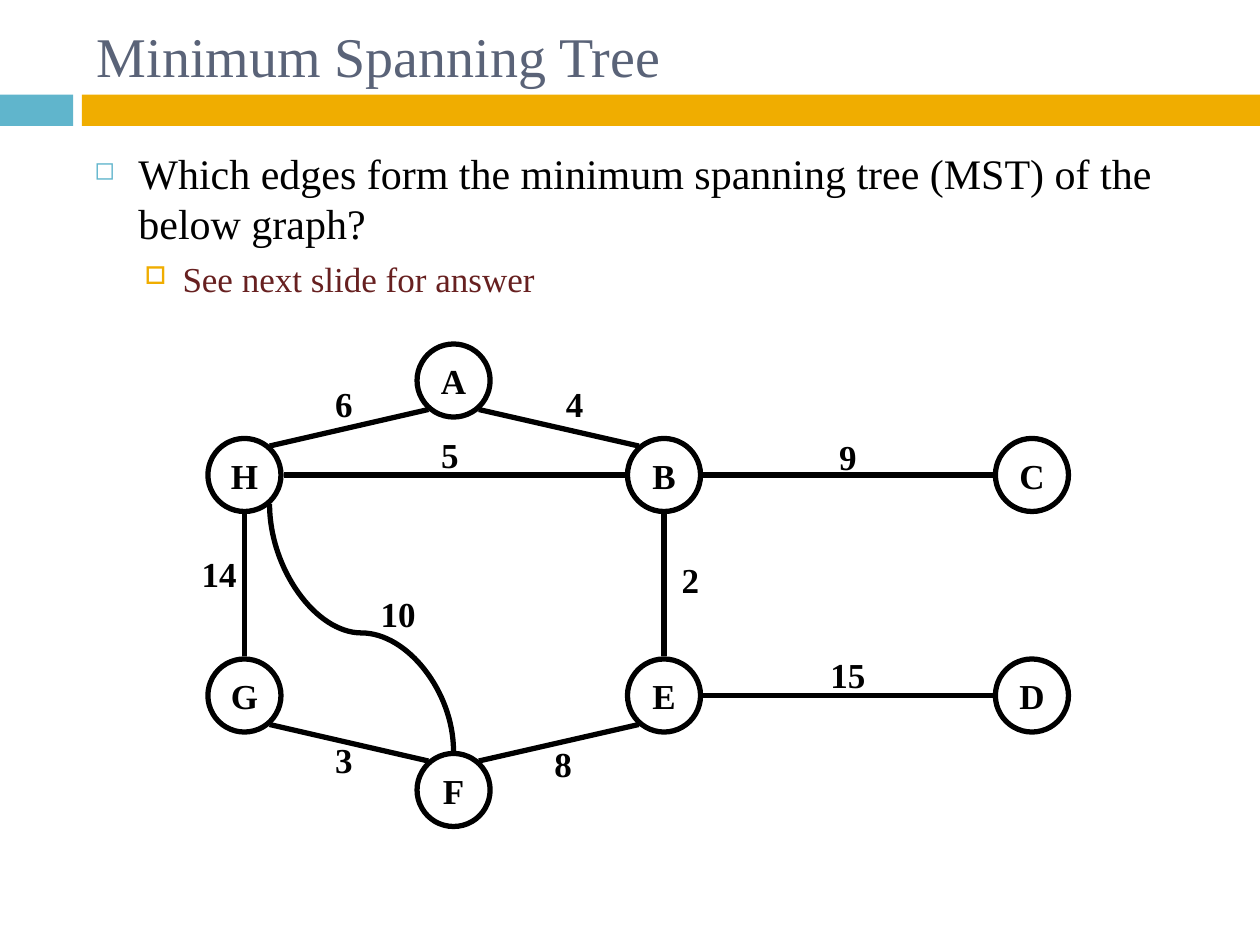
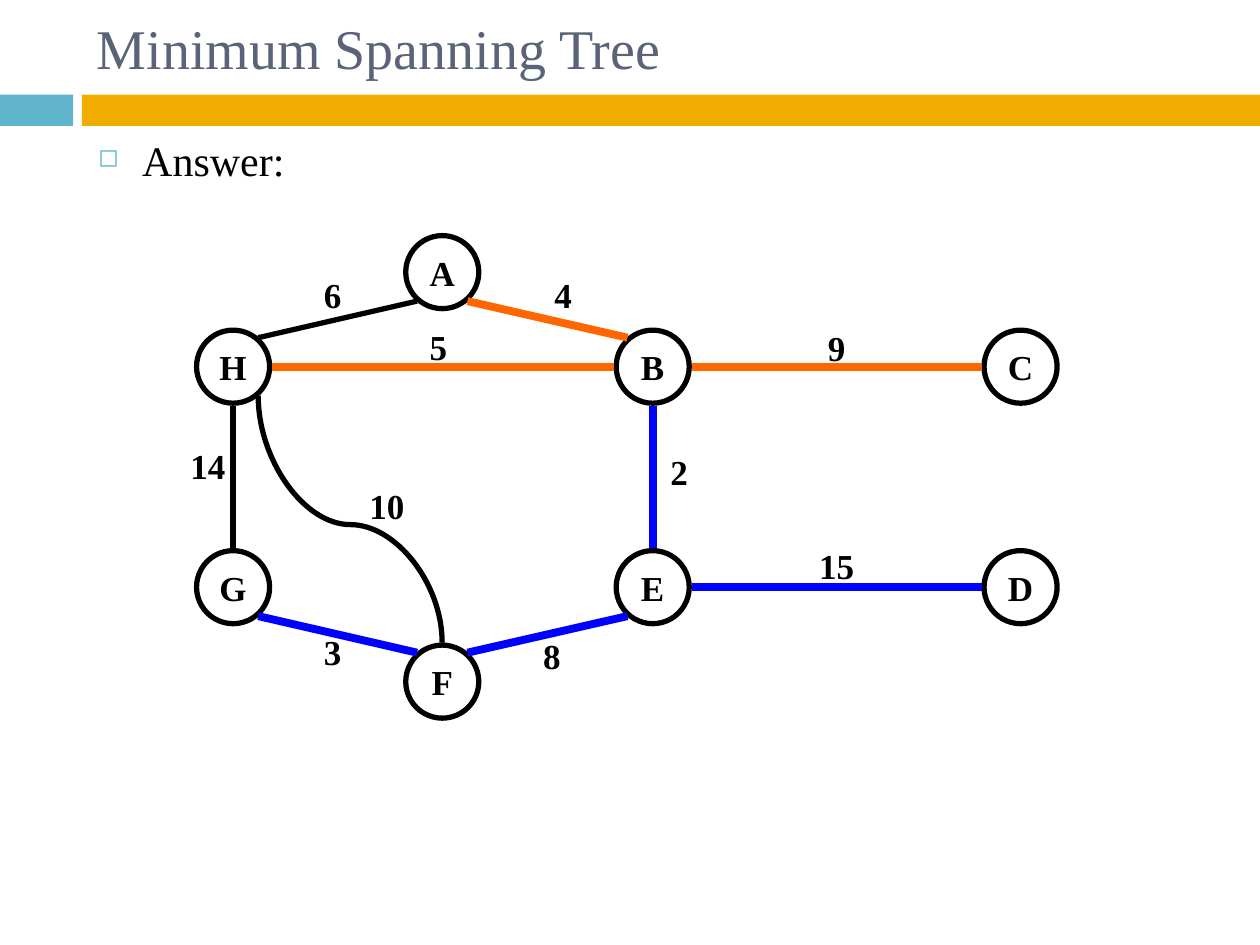
import pptx
import pptx.dml.color
import pptx.enum.shapes
import pptx.enum.text
import pptx.oxml
import pptx.oxml.ns
import pptx.util

Inches = pptx.util.Inches
Pt = pptx.util.Pt
RGBColor = pptx.dml.color.RGBColor
MSO_SHAPE = pptx.enum.shapes.MSO_SHAPE
MSO_CONNECTOR = pptx.enum.shapes.MSO_CONNECTOR
MSO_ANCHOR = pptx.enum.text.MSO_ANCHOR
PP_ALIGN = pptx.enum.text.PP_ALIGN

BLACK = RGBColor(0x00, 0x00, 0x00)
TEAL = RGBColor(0x60, 0xB5, 0xCC)
GOLD = RGBColor(0xF0, 0xAD, 0x00)
SLATE = RGBColor(0x5A, 0x63, 0x78)
MAROON = RGBColor(0x67, 0x20, 0x20)
ORANGE = RGBColor(0xFF, 0x66, 0x00)
BLUE = RGBColor(0x00, 0x00, 0xFF)
FONT = "Times New Roman"

# Bullet levels: margin, hanging indent, space before, sign, sign colour, sign %, size, colour
LEVELS = [
    (0.35, 0.35, 7, "◻", TEAL, 60, 24, BLACK),
    (0.7, 0.3, 5.5, "□", GOLD, 70, 20, MAROON),
]

# Graph geometry, in inches from the graph's top left corner
NODE_SIZE = 0.58
STRAIGHT_REACH = 0.31
DIAGONAL_REACH = (0.2, 0.23)
LEFT, PEAK, MIDDLE, RIGHT = 0.44, 2.1, 3.77, 6.69
TOP, UPPER, LOWER, BOTTOM = 0.29, 1.04, 2.79, 3.54
NODES = {
    "H": (LEFT, UPPER), "B": (MIDDLE, UPPER), "C": (RIGHT, UPPER),
    "G": (LEFT, LOWER), "E": (MIDDLE, LOWER), "D": (RIGHT, LOWER),
    "F": (PEAK, BOTTOM), "A": (PEAK, TOP),
}
# Edge: weight and centre of its label
EDGES = {
    "AB": ("4", 3.06, 0.47), "AH": ("6", 1.23, 0.47), "HB": ("5", 2.07, 0.88),
    "GH": ("14", 0.24, 1.82), "GF": ("3", 1.23, 3.3), "FE": ("8", 2.97, 3.33),
    "EB": ("2", 3.98, 1.87), "BC": ("9", 5.23, 0.89), "ED": ("15", 5.23, 2.62),
    "FH": ("10", 1.66, 2.14),
}
CURVED_EDGE = "FH"
CURVE_BEND = 47800
TREE_EDGES = {
    "AB": ORANGE, "HB": ORANGE, "BC": ORANGE,
    "GF": BLUE, "FE": BLUE, "EB": BLUE, "ED": BLUE,
}


def add_run(paragraph, text, size, color, bold=False):
    run = paragraph.add_run()
    run.text = text
    run.font.name = FONT
    run.font.size = Pt(size)
    run.font.bold = bold
    run.font.color.rgb = color


def add_bands(slide):
    for left, width, color in [(0, 0.58, TEAL), (0.65, 9.35, GOLD)]:
        band = slide.shapes.add_shape(
            MSO_SHAPE.RECTANGLE, Inches(left), Inches(0.75), Inches(width), Inches(0.25))
        band.shadow.inherit = False
        band.fill.solid()
        band.fill.fore_color.rgb = color
        band.line.fill.background()


def add_title(slide, top):
    title = slide.shapes.add_textbox(Inches(0.67), Inches(top), Inches(8.92), Inches(0.63))
    title.text_frame.word_wrap = True
    title.text_frame.vertical_anchor = MSO_ANCHOR.MIDDLE
    add_run(title.text_frame.paragraphs[0], "Minimum Spanning Tree", 32, SLATE)


def add_bullets(slide, left, top, height, lines):
    body = slide.shapes.add_textbox(Inches(left), Inches(top), Inches(8.92), Inches(height))
    frame = body.text_frame
    frame.word_wrap = True
    for level, text in enumerate(lines):
        margin, hanging, before, sign, sign_color, percent, size, color = LEVELS[level]
        paragraph = frame.add_paragraph() if level else frame.paragraphs[0]
        paragraph.level = level
        paragraph.space_before = Pt(before)
        add_run(paragraph, text, size, color)
        # Bullet sign
        props = paragraph._p.get_or_add_pPr()
        props.set("marL", str(Inches(margin)))
        props.set("indent", str(-Inches(hanging)))
        ns = pptx.oxml.ns.nsdecls("a")
        for xml in (
            f'<a:buClr {ns}><a:srgbClr val="{sign_color}"/></a:buClr>',
            f'<a:buSzPct {ns} val="{percent * 1000}"/>',
            f'<a:buChar {ns} char="{sign}"/>',
        ):
            props.append(pptx.oxml.parse_xml(xml))


def center_text(frame, text):
    frame.word_wrap = False
    frame.paragraphs[0].alignment = PP_ALIGN.CENTER
    add_run(frame.paragraphs[0], text, 20, BLACK, bold=True)


def add_node(graph, name, x, y):
    node = graph.shapes.add_shape(
        MSO_SHAPE.OVAL, Inches(x - NODE_SIZE / 2), Inches(y - NODE_SIZE / 2),
        Inches(NODE_SIZE), Inches(NODE_SIZE))
    node.shadow.inherit = False
    node.fill.background()
    node.line.color.rgb = BLACK
    node.line.width = Pt(3)
    node.text_frame.vertical_anchor = MSO_ANCHOR.MIDDLE
    center_text(node.text_frame, name)


def add_edge(graph, kind, start, end, color, width):
    edge = graph.shapes.add_connector(kind, *[Inches(v) for v in (*start, *end)])
    edge.line.color.rgb = color
    edge.line.width = Pt(width)
    edge._element.spPr.append(
        pptx.oxml.parse_xml(f'<a:effectLst {pptx.oxml.ns.nsdecls("a")}/>'))
    return edge


def straight_ends(start, end):
    """Stop the edge at the rim of both nodes."""
    dx, dy = end[0] - start[0], end[1] - start[1]
    reach_x, reach_y = DIAGONAL_REACH if dx and dy else (STRAIGHT_REACH, STRAIGHT_REACH)
    step_x = reach_x * ((dx > 0) - (dx < 0))
    step_y = reach_y * ((dy > 0) - (dy < 0))
    return (start[0] + step_x, start[1] + step_y), (end[0] - step_x, end[1] - step_y)


def add_curved_edge(graph, start, end):
    """Leave the start node's top and enter the end node's lower right from below."""
    x1, y1 = start[0], start[1] - STRAIGHT_REACH
    x2, y2 = end[0] + DIAGONAL_REACH[0], end[1] + DIAGONAL_REACH[1]
    center_x, center_y = (x1 + x2) / 2, (y1 + y2) / 2
    half_length, half_width = (y1 - y2) / 2, (x1 - x2) / 2
    # Drawn lying down, then turned a quarter
    edge = add_edge(
        graph, MSO_CONNECTOR.CURVE,
        (center_x + half_length, center_y - half_width),
        (center_x - half_length, center_y + half_width), BLACK, 3)
    props = edge._element.spPr
    props.xfrm.set("rot", str(90 * 60000))
    adjustments = props.prstGeom.get_or_add_avLst()
    adjustments.append(pptx.oxml.parse_xml(
        f'<a:gd {pptx.oxml.ns.nsdecls("a")} name="adj1" fmla="val {CURVE_BEND}"/>'))


def add_weight(graph, weight, x, y):
    width, height = 0.2 + 0.14 * len(weight), 0.43
    label = graph.shapes.add_textbox(
        Inches(x - width / 2), Inches(y - height / 2), Inches(width), Inches(height))
    center_text(label.text_frame, weight)


def add_graph(slide, left, top, tree_edges):
    graph = slide.shapes.add_group_shape()
    centers = {name: (left + x, top + y) for name, (x, y) in NODES.items()}
    for name, center in centers.items():
        add_node(graph, name, *center)
    for pair in EDGES:
        start, end = (centers[name] for name in pair)
        if pair == CURVED_EDGE:
            add_curved_edge(graph, start, end)
        else:
            add_edge(graph, MSO_CONNECTOR.STRAIGHT, *straight_ends(start, end),
                     tree_edges.get(pair, BLACK), 4.5 if pair in tree_edges else 3)
    for weight, x, y in EDGES.values():
        add_weight(graph, weight, left + x, top + y)


def add_graph_slide(deck, title_top, body_box, lines, graph_corner, tree_edges):
    slide = deck.slides.add_slide(deck.slide_layouts[6])
    add_bands(slide)
    add_title(slide, title_top)
    add_bullets(slide, *body_box, lines)
    add_graph(slide, *graph_corner, tree_edges)


def main():
    deck = pptx.Presentation()
    deck.slide_width, deck.slide_height = Inches(10), Inches(7.5)
    question = [
        "Which edges form the minimum spanning tree (MST) of the below graph?",
        "See next slide for answer",
    ]
    add_graph_slide(deck, 0.12, (0.65, 1.12, 0.99), question, (1.5, 2.73), {})
    add_graph_slide(deck, 0.06, (0.68, 1.02, 0.69), ["Answer:"], (1.41, 1.87), TREE_EDGES)
    deck.save("out.pptx")


if __name__ == "__main__":
    main()
